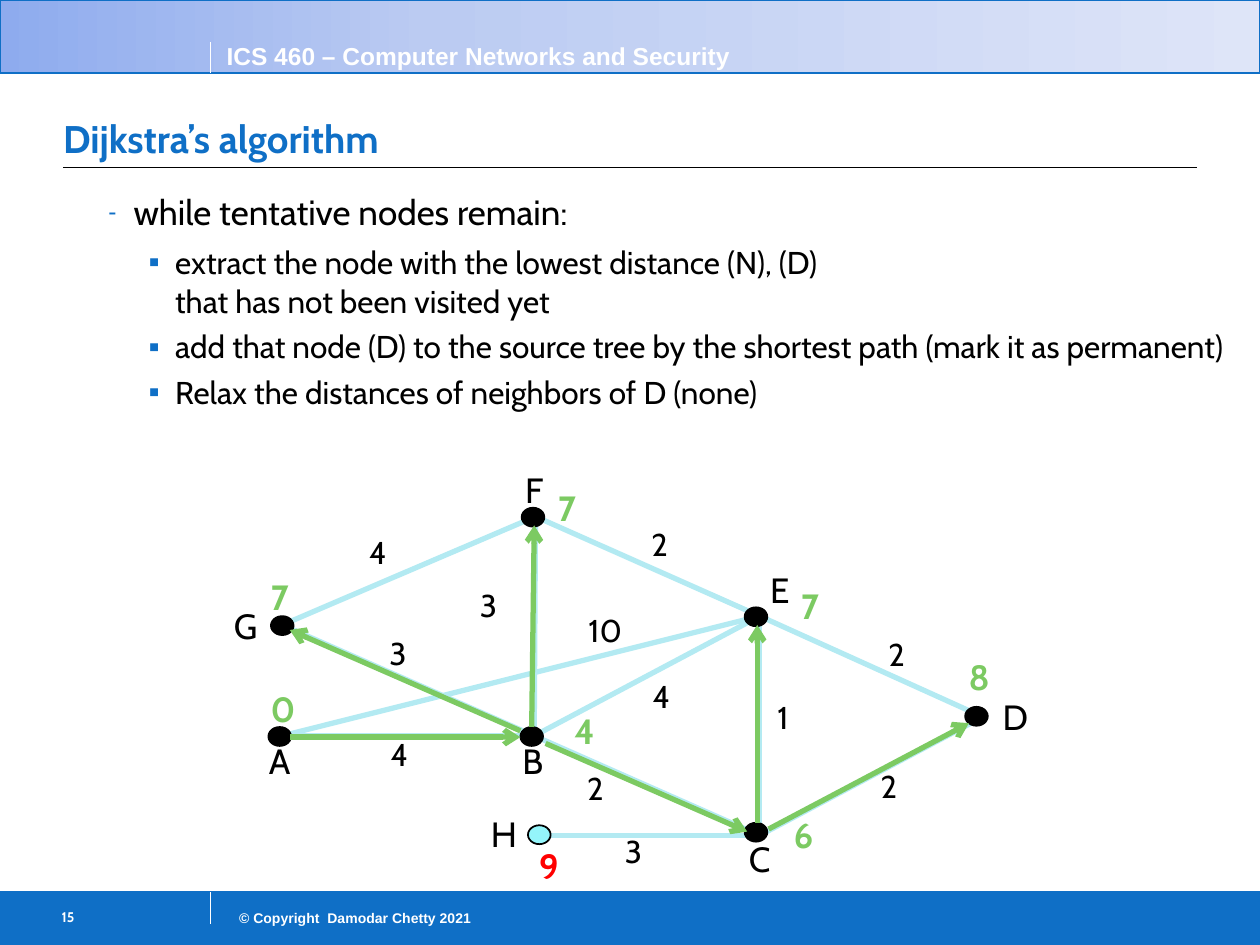
from copy import deepcopy
from dataclasses import dataclass

from lxml import etree
from pptx import Presentation
from pptx.dml.color import RGBColor
from pptx.enum.shapes import MSO_CONNECTOR, MSO_SHAPE
from pptx.enum.text import MSO_ANCHOR, MSO_AUTO_SIZE, PP_ALIGN
from pptx.oxml.ns import qn
from pptx.util import Inches, Pt

LINE, RECT, OVAL = MSO_CONNECTOR.STRAIGHT, MSO_SHAPE.RECTANGLE, MSO_SHAPE.OVAL
TOP, MIDDLE, BOTTOM = MSO_ANCHOR.TOP, MSO_ANCHOR.MIDDLE, MSO_ANCHOR.BOTTOM
LEFT, CENTER, RIGHT = PP_ALIGN.LEFT, PP_ALIGN.CENTER, PP_ALIGN.RIGHT
FIXED, GROW = MSO_AUTO_SIZE.NONE, MSO_AUTO_SIZE.SHAPE_TO_FIT_TEXT

BLUE, PALE, GREEN, CYAN = "0F6FC6", "B3EAF2", "7CCA62", "94F5FA"
BLACK, WHITE, RED = "000000", "FFFFFF", "FF0000"
Point = tuple[float, float]
STANDARD_INSETS = (0.1, 0.05, 0.1, 0.05)


@dataclass
class Node:
    """A graph node: where its edges meet, and the corners of its dot and texts."""
    name: str
    hub: Point
    dot: Point
    label: Point
    distance: str
    distance_at: Point
    visited: bool = True


@dataclass
class Weight:
    text: str
    at: Point


@dataclass
class Bullet:
    level: int
    lines: list[str]
    size: int
    mark: str
    mark_percent: int
    margin: float
    hanging: float


NODES = [
    Node("A", (2.24, 5.84), (2.13, 5.77), (1.92, 5.82), "0", (2.05, 5.41)),
    Node("B", (4.24, 5.84), (4.13, 5.77), (3.93, 5.82), "4", (4.46, 5.58)),
    Node("C", (6.03, 6.63), (5.91, 6.53), (5.73, 6.6), "6", (6.2, 6.41)),
    Node("D", (7.8, 5.69), (7.66, 5.61), (7.76, 5.47), "8", (7.59, 5.15)),
    Node("E", (6.03, 4.89), (5.91, 4.82), (5.89, 4.46), "7", (6.26, 4.59)),
    Node("F", (4.25, 4.1), (4.14, 4.03), (3.94, 3.67), "7", (4.33, 3.81)),
    Node("G", (2.24, 4.96), (2.15, 4.89), (1.65, 4.75), "7", (2.05, 4.52)),
    Node("H", (4.24, 6.63), (4.19, 6.55), (3.7, 6.4), "9", (4.18, 6.65), False),
]
EDGES = "AB BC CE BE AE BF BG GF FE ED CD CH".split()
WEIGHTS = [
    Weight("2", (5.12, 4.17)), Weight("1", (6.12, 5.54)), Weight("10", (4.62, 4.85)),
    Weight("2", (6.94, 6.09)), Weight("2", (7, 5.04)), Weight("4", (5.13, 5.37)),
    Weight("2", (4.61, 6.1)), Weight("4", (3.05, 5.83)), Weight("4", (2.88, 4.23)),
    Weight("3", (3.04, 5.03)), Weight("3", (3.76, 4.65)), Weight("3", (4.91, 6.6)),
]
TREE_ARROWS = [
    ((2.3, 5.85), (4.13, 5.85)), ((4.33, 5.9), (5.93, 6.6)), ((4.13, 5.8), (2.3, 5)),
    ((6.01, 6.53), (6.01, 4.96)), ((4.22, 5.77), (4.24, 4.17)), ((6.1, 6.58), (7.69, 5.74)),
]
STEPS = [
    ["extract the node with the lowest distance (N), (D) ", "that has not been visited yet"],
    ["add that node (D) to the source tree by the shortest path (mark it as permanent)"],
    ["Relax the distances of neighbors of D (none)"],
]
BULLETS = [Bullet(1, ["while tentative nodes remain:"], 20, "-", 70, 0.51, -0.2)]
BULLETS += [Bullet(2, lines, 18, "▪", 100, 0.84, -0.21) for lines in STEPS]


def rgb(color: str) -> RGBColor:
    return RGBColor.from_string(color)


def add_span(para, text: str, size: float, color: str, bold=False, font="Cabin") -> None:
    span = para.add_run()
    span.text = text
    span.font.size, span.font.bold, span.font.name = Pt(size), bold, font
    span.font.color.rgb = rgb(color)


def set_frame(frame, insets=STANDARD_INSETS, anchor=TOP, wrap=True, auto_size=FIXED) -> None:
    frame.margin_left, frame.margin_top, frame.margin_right, frame.margin_bottom = map(Inches, insets)
    frame.vertical_anchor, frame.word_wrap, frame.auto_size = anchor, wrap, auto_size


def add_text(slide, at: Point, size: Point, text: str, points: float, color: str,
             align=LEFT, bold=False, font="Cabin", **frame_options) -> None:
    box = slide.shapes.add_textbox(*map(Inches, at + size))
    set_frame(box.text_frame, **frame_options)
    para = box.text_frame.paragraphs[0]
    para.alignment = align
    add_span(para, text, points, color, bold, font)


def add_line(slide, start: Point, end: Point, color: str, width: float, arrow=False) -> None:
    line = slide.shapes.add_connector(LINE, *map(Inches, start + end))
    line.line.color.rgb, line.line.width = rgb(color), Pt(width)
    if arrow:
        etree.SubElement(line.line._get_or_add_ln(), qn("a:tailEnd"), type="arrow")
    etree.SubElement(line._element.spPr, qn("a:effectLst"))


def add_filled(slide, kind, at: Point, size: Point, fill: str, outline: str, width: float):
    shape = slide.shapes.add_shape(kind, *map(Inches, at + size))
    shape.shadow.inherit = False
    shape.fill.solid()
    shape.fill.fore_color.rgb = rgb(fill)
    shape.line.color.rgb, shape.line.width = rgb(outline), Pt(width)
    return shape


def set_gradient(shape, stops: list[tuple[float, str]]) -> None:
    """Apply a left-to-right gradient with three stops."""
    shape.fill.gradient()
    shape.fill.gradient_angle = 0
    stop_list = shape._element.spPr.find(".//" + qn("a:gsLst"))
    stop_list.append(deepcopy(stop_list[-1]))
    for stop, (position, color) in zip(shape.fill.gradient_stops, stops):
        stop.position, stop.color.rgb = position, rgb(color)


def add_bullet(para, bullet: Bullet) -> None:
    para.level, para.line_spacing = bullet.level, 1.04
    for index, text in enumerate(bullet.lines):
        if index:
            para.add_line_break()
        add_span(para, text, bullet.size, BLACK)
    properties = para._p.get_or_add_pPr()
    properties.set("marL", str(Inches(bullet.margin)))
    properties.set("indent", str(Inches(bullet.hanging)))
    color = etree.SubElement(properties, qn("a:buClr"))
    etree.SubElement(color, qn("a:srgbClr"), val=BLUE)
    etree.SubElement(properties, qn("a:buSzPct"), val=str(bullet.mark_percent * 1000))
    etree.SubElement(properties, qn("a:buFont"), typeface="Arial")
    etree.SubElement(properties, qn("a:buChar"), char=bullet.mark)


def place(shape, left: float, top: float, width: float, height: float) -> None:
    shape.left, shape.top, shape.width, shape.height = map(Inches, (left, top, width, height))


def draw_bands(slide) -> None:
    add_filled(slide, RECT, (0, 7.08), (10, 0.42), BLUE, BLUE, 0.75)
    header = add_filled(slide, RECT, (0, 0), (10, 0.58), WHITE, BLUE, 0.75)
    set_gradient(header, [(0, "8EABEE"), (0.34, "BBCBF2"), (1, "DEE5F8")])
    for y in (0.58, 7.08):
        add_line(slide, (0, y), (10, y), BLUE, 0.5)
    for bottom in (0.58, 7.33):
        add_line(slide, (1.67, bottom), (1.67, bottom - 0.25), WHITE, 0.75)
    add_line(slide, (0.5, 1.33), (9.5, 1.33), BLACK, 0.75)
    add_text(slide, (1.7, 0.28), (4.3, 0.34), "ICS 460 – Computer Networks and Security",
             14, WHITE, bold=True, font="Arial", auto_size=GROW)
    add_text(slide, (1.67, 7.17), (2.17, 0.24), "© Copyright  Damodar Chetty 2021",
             8, WHITE, RIGHT, bold=True, font="Arial", auto_size=GROW)
    add_text(slide, (0.33, 7.14), (1.33, 0.35), "15", 8, WHITE, bold=True,
             insets=(0.16, 0.07, 0.1, 0.05))


def fill_placeholders(slide) -> None:
    title, body = slide.placeholders
    place(title, 0.5, 0.61, 9, 0.72)
    set_frame(title.text_frame, (0, 0.05, 0, 0.05), BOTTOM)
    para = title.text_frame.paragraphs[0]
    para.alignment = LEFT
    add_span(para, "Dijkstra’s algorithm", 22, BLUE, bold=True)
    place(body, 0.5, 1.45, 9.5, 5.39)
    frame = body.text_frame
    set_frame(frame, (0.05,) * 4)
    for index, bullet in enumerate(BULLETS):
        add_bullet(frame.add_paragraph() if index else frame.paragraphs[0], bullet)


def draw_graph(slide) -> None:
    hubs = {node.name: node.hub for node in NODES}
    for start, end in EDGES:
        add_line(slide, hubs[start], hubs[end], PALE, 3)
    for node in NODES:
        fill, color = (BLACK, GREEN) if node.visited else (CYAN, RED)
        add_filled(slide, OVAL, node.dot, (0.18, 0.15), fill, BLACK, 1)
        add_text(slide, node.label, (0.6, 0.43), node.name, 20, BLACK, CENTER,
                 anchor=MIDDLE, wrap=False, auto_size=GROW)
        add_text(slide, node.distance_at, (0.34, 0.44), node.distance, 20, color, CENTER,
                 bold=True, wrap=False, auto_size=GROW)
    for weight in WEIGHTS:
        add_text(slide, weight.at, (0.17 + 0.2 * len(weight.text), 0.3), weight.text, 18, BLACK,
                 insets=(0.05, 0, 0.05, 0), wrap=False, auto_size=GROW)
    for start, end in TREE_ARROWS:
        add_line(slide, start, end, GREEN, 3, arrow=True)


def main() -> None:
    deck = Presentation()
    deck.slide_width, deck.slide_height = Inches(10), Inches(7.5)
    slide = deck.slides.add_slide(deck.slide_layouts[1])
    draw_bands(slide)
    fill_placeholders(slide)
    draw_graph(slide)
    deck.save("out.pptx")


if __name__ == "__main__":
    main()
